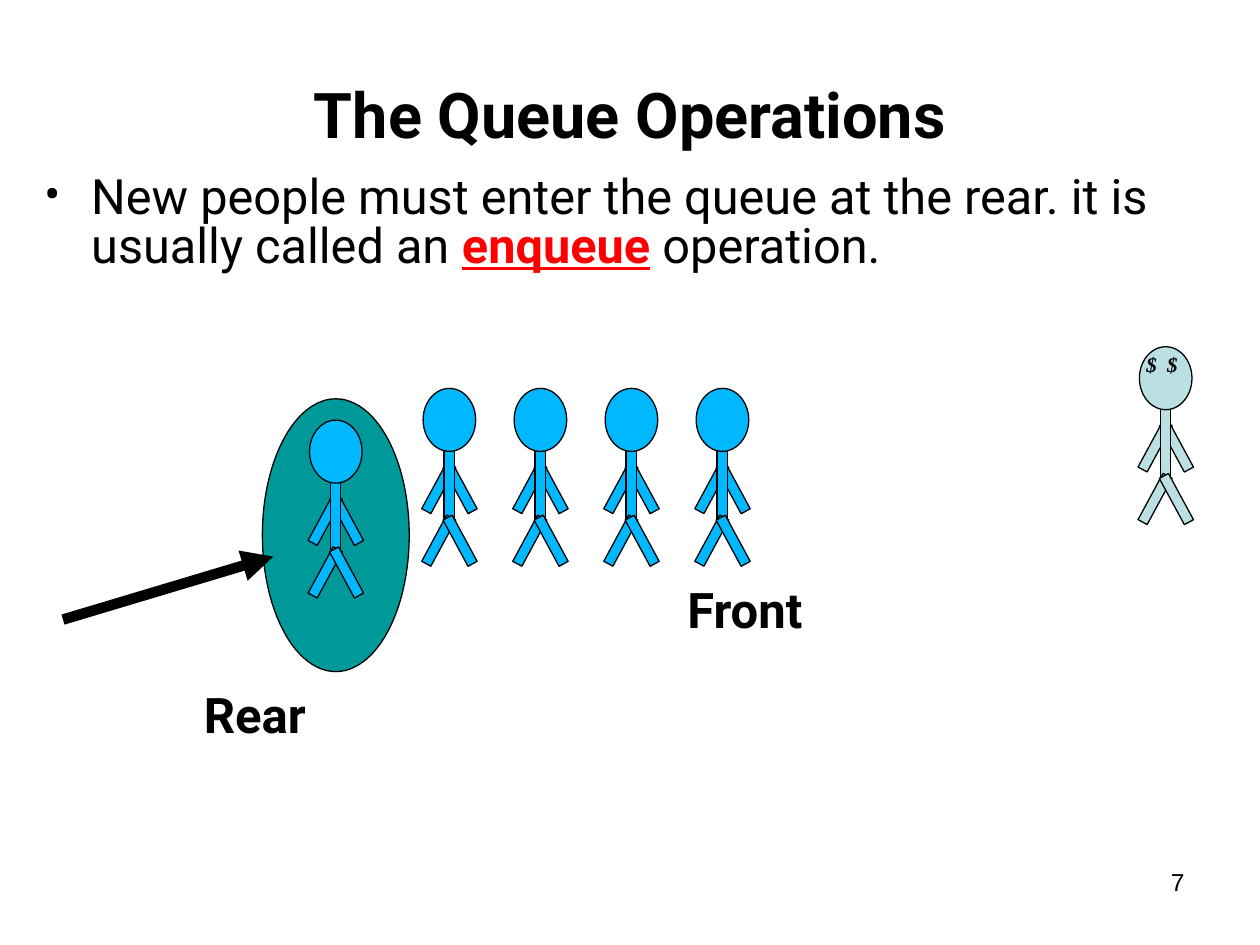
from dataclasses import dataclass

from lxml.etree import SubElement
from pptx import Presentation
from pptx.dml.color import RGBColor
from pptx.enum.shapes import MSO_CONNECTOR, MSO_SHAPE
from pptx.enum.text import MSO_ANCHOR, MSO_AUTO_SIZE, PP_ALIGN
from pptx.oxml.ns import qn
from pptx.util import Cm, Pt


@dataclass(frozen=True)
class Theme:
    ink: RGBColor = RGBColor(0x00, 0x00, 0x00)
    accent: RGBColor = RGBColor(0xFF, 0x00, 0x00)
    queue: RGBColor = RGBColor(0x00, 0xB8, 0xFF)
    customer: RGBColor = RGBColor(0xBB, 0xE0, 0xE3)
    highlight: RGBColor = RGBColor(0x00, 0x99, 0x99)
    font: str = "Roboto"
    number_font: str = "Arial"
    eye_font: str = "Times New Roman"
    title: Pt = Pt(36)
    body: Pt = Pt(27.8)
    label: Pt = Pt(28)
    number: Pt = Pt(14)
    eyes: Pt = Pt(12)
    outline: Pt = Pt(0.75)
    arrow: Pt = Pt(6)


THEME = Theme()

# Body parts in drawing order: shape, left, top, width, height (cm), rotation
PERSON_PARTS = [
    (MSO_SHAPE.RECTANGLE, 0.21, 1.48, 0.21, 1.06, 28.4),
    (MSO_SHAPE.RECTANGLE, 0.64, 1.48, 0.21, 1.06, -28.4),
    (MSO_SHAPE.RECTANGLE, 0.42, 1.06, 0.21, 1.69, 0),
    (MSO_SHAPE.OVAL, 0, 0, 1.06, 1.27, 0),
    (MSO_SHAPE.RECTANGLE, 0.21, 2.54, 0.21, 1.06, 28.4),
    (MSO_SHAPE.RECTANGLE, 0.64, 2.54, 0.21, 1.06, -28.4),
]
QUEUE_LEFT, QUEUE_TOP, QUEUE_STEP, QUEUE_LENGTH = 8.53, 7.83, 1.835, 4


def set_values(target, values):
    for name, value in values.items():
        setattr(target, name, value)


def add_span(para, text, size, color=THEME.ink, **values):
    span = para.add_run()
    span.text = text
    set_values(span.font, {"name": THEME.font, "size": size, **values})
    span.font.color.rgb = color


def add_box(shapes, left, top, width, height, wrap=True):
    """Add an empty text box and return its first paragraph."""
    box = shapes.add_textbox(Cm(left), Cm(top), Cm(width), Cm(height))
    box.text_frame.word_wrap = wrap
    return box.text_frame.paragraphs[0]


def add_title(slide, text):
    title = slide.shapes.title
    set_values(title, {"left": Cm(1.27), "top": Cm(0.76),
                       "width": Cm(22.86), "height": Cm(3.18)})
    set_values(title.text_frame, {"vertical_anchor": MSO_ANCHOR.MIDDLE,
                                  "auto_size": MSO_AUTO_SIZE.NONE})
    para = title.text_frame.paragraphs[0]
    set_values(para, {"alignment": PP_ALIGN.CENTER, "line_spacing": 0.95})
    add_span(para, text, THEME.title, bold=True)


def add_bullet_text(slide):
    para = add_box(slide.shapes, 0.64, 3.39, 23.92, 2.75)
    para.line_spacing = 0.85
    properties = para._p.get_or_add_pPr()
    properties.set("marL", str(Cm(0.95)))
    properties.set("indent", str(-Cm(0.95)))
    SubElement(properties, qn("a:buFont"), typeface=THEME.font)
    SubElement(properties, qn("a:buChar"), char="•")
    add_span(para, "New people must enter the queue at the rear. "
                   "it is usually called an ", THEME.body)
    add_span(para, "enqueue", THEME.body, THEME.accent, bold=True, underline=True)
    add_span(para, " operation.", THEME.body)


def add_figure(shapes, kind, left, top, width, height, color, rotation=0):
    figure = shapes.add_shape(kind, Cm(left), Cm(top), Cm(width), Cm(height))
    figure.shadow.inherit = False
    figure.rotation = rotation
    figure.fill.solid()
    figure.fill.fore_color.rgb = color
    figure.line.color.rgb = THEME.ink
    figure.line.width = THEME.outline


def add_person(slide, left, top, color):
    person = slide.shapes.add_group_shape()
    for kind, dx, dy, width, height, rotation in PERSON_PARTS:
        add_figure(person.shapes, kind, left + dx, top + dy, width, height,
                   color, rotation)
    return person


def add_dollar_eyes(person, left, top):
    para = add_box(person.shapes, left, top, 1.27, 1.27)
    para.line_spacing = 0.95
    tabs = SubElement(para._p.get_or_add_pPr(), qn("a:tabLst"))
    SubElement(tabs, qn("a:tab"), pos=str(Cm(0.42)), algn="l")
    add_span(para, "$\t$", THEME.eyes, name=THEME.eye_font, bold=True, italic=True)


def add_arrow(slide, start, end):
    arrow = slide.shapes.add_connector(
        MSO_CONNECTOR.STRAIGHT, *map(Cm, start), *map(Cm, end))
    arrow.line.color.rgb = THEME.ink
    arrow.line.width = THEME.arrow
    SubElement(arrow.line._get_or_add_ln(), qn("a:tailEnd"), type="triangle")
    SubElement(arrow._element.spPr, qn("a:effectLst"))


def add_label(slide, text, left, top, width):
    para = add_box(slide.shapes, left, top, width, 1.37, wrap=False)
    para.line_spacing = 0.95
    add_span(para, text, THEME.label, bold=True)


def add_page_number(slide, text):
    para = add_box(slide.shapes, 18.21, 17.35, 5.92, 1.32)
    para.alignment = PP_ALIGN.RIGHT
    add_span(para, text, THEME.number, name=THEME.number_font)


def main():
    deck = Presentation()
    deck.slide_width, deck.slide_height = Cm(25.4), Cm(19.05)
    slide = deck.slides.add_slide(deck.slide_layouts[5])

    add_page_number(slide, "7")
    add_title(slide, "The Queue Operations")
    add_bullet_text(slide)

    add_figure(slide.shapes, MSO_SHAPE.OVAL, 5.29, 8.04, 2.96, 5.5, THEME.highlight)
    for place in range(QUEUE_LENGTH):
        add_person(slide, QUEUE_LEFT + place * QUEUE_STEP, QUEUE_TOP, THEME.queue)
    customer = add_person(slide, 22.97, 6.99, THEME.customer)
    add_dollar_eyes(customer, 22.86, 6.99)
    add_person(slide, 6.24, 8.47, THEME.queue)

    add_arrow(slide, (1.27, 12.49), (5.51, 11.22))
    add_label(slide, "Front", 13.61, 11.64, 3.18)
    add_label(slide, "Rear", 3.86, 13.76, 2.79)

    deck.save("out.pptx")


if __name__ == "__main__":
    main()
